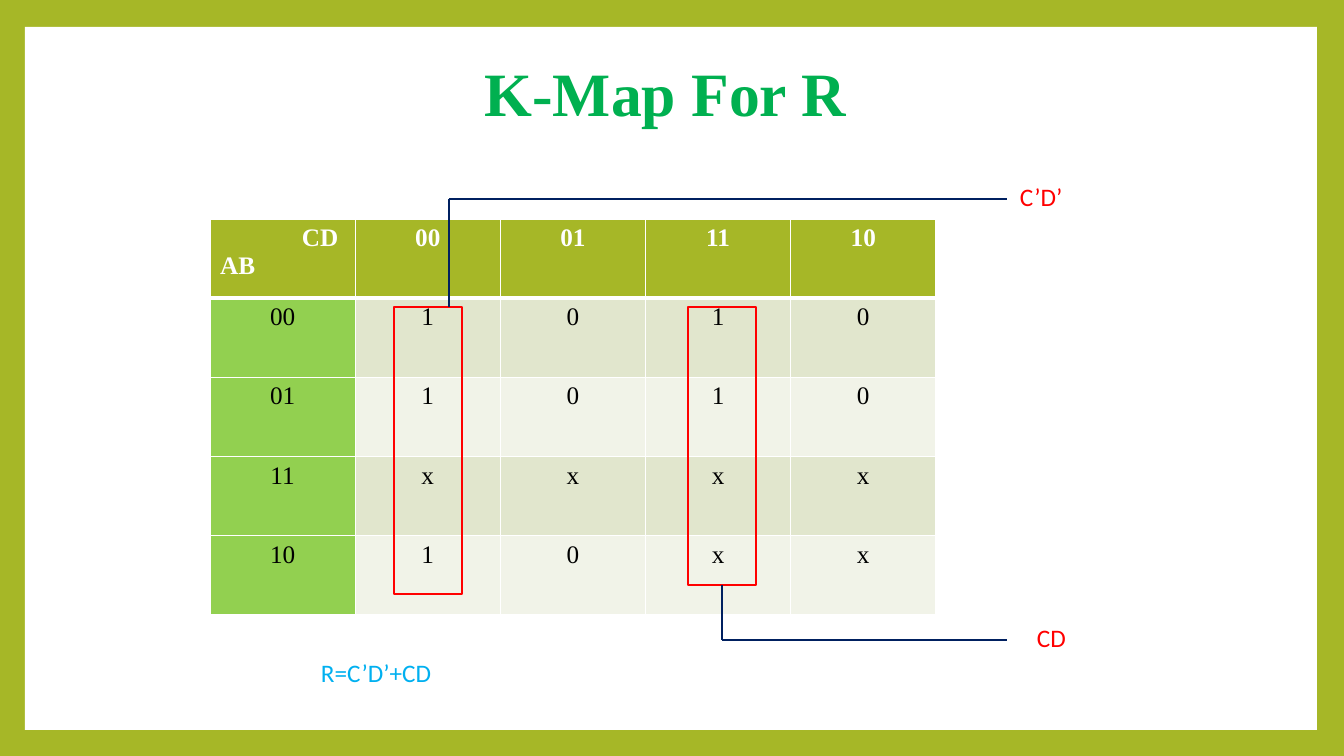
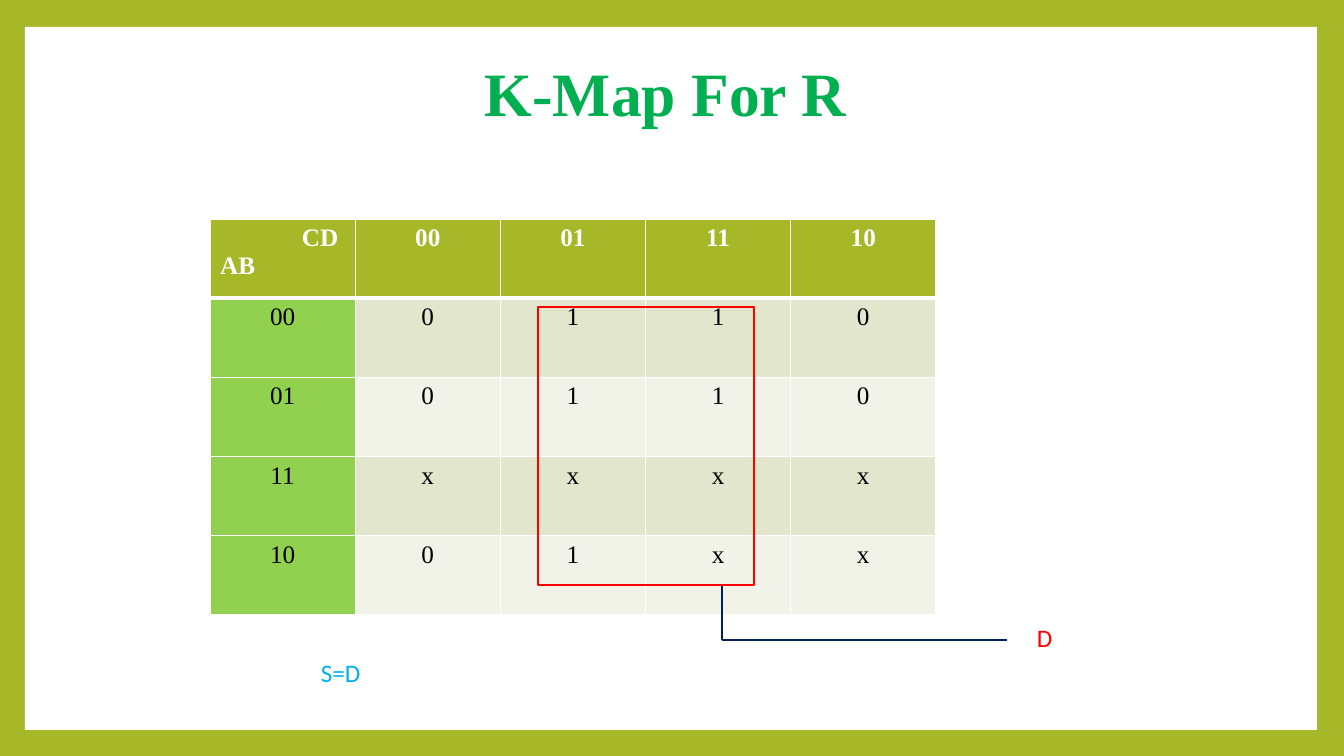
"""Build two Karnaugh map slides."""
import pptx
import pptx.dml.color
import pptx.enum.shapes
import pptx.enum.text
import pptx.oxml
import pptx.oxml.ns
import pptx.util

ALIGN = pptx.enum.text.PP_ALIGN
MIDDLE = pptx.enum.text.MSO_ANCHOR.MIDDLE
RECTANGLE = pptx.enum.shapes.MSO_SHAPE.RECTANGLE
STRAIGHT = pptx.enum.shapes.MSO_CONNECTOR.STRAIGHT

OLIVE, WHITE, BLACK = "A6B727", "FFFFFF", "000000"
TITLE_GREEN, ROW_GREEN = "00B050", "92D050"
BANDS = ("E1E6CD", "F1F3E8")
RED, NAVY, SKY = "FF0000", "002060", "00B0F0"
SERIF, SANS = "Times New Roman", "Calibri"
GRAY_CODE = ("00", "01", "11", "10")
GROUP_TOP, GROUP_HEIGHT = 307, 278
BOTTOM_LEADER = ((722, GROUP_TOP + GROUP_HEIGHT), (722, 640), (1007, 640))


def px(value):
    """Turn pixels into EMU."""
    return pptx.util.Emu(round(value * 914400 / 100.8))


def color(hex_text):
    """Return the colour for a hex string."""
    return pptx.dml.color.RGBColor.from_string(hex_text)


def write(para, text, size, font_name, hex_text, bold=False, align=ALIGN.LEFT):
    """Add one formatted run to a paragraph."""
    para.alignment = align
    span = para.add_run()
    span.text = text
    span.font.size = pptx.util.Pt(size)
    span.font.name = font_name
    span.font.bold = bold
    span.font.color.rgb = color(hex_text)


def add_box(slide, bounds, line=None, fill=None):
    """Add a flat rectangle with an optional outline and fill."""
    box = slide.shapes.add_shape(RECTANGLE, *map(px, bounds))
    box.shadow.inherit = False
    if fill:
        box.fill.solid()
        box.fill.fore_color.rgb = color(fill)
    else:
        box.fill.background()
    if line:
        box.line.color.rgb = color(line)
        box.line.width = pptx.util.Pt(1.5)
    else:
        box.line.fill.background()
    return box


def add_label(slide, bounds, text, hex_text):
    """Add a left-aligned label in a white outline."""
    frame = add_box(slide, bounds, line=WHITE).text_frame
    frame.word_wrap = True
    frame.vertical_anchor = MIDDLE
    write(frame.paragraphs[0], text, 18, SANS, hex_text)


def add_group(slide, left, width, height=GROUP_HEIGHT):
    """Outline a group of cells in red."""
    return add_box(slide, (left, GROUP_TOP, width, height), line=RED)


def add_leader(slide, points):
    """Draw thin lines through the points and return them."""
    lines = []
    for start, end in zip(points, points[1:]):
        line = slide.shapes.add_connector(STRAIGHT, *map(px, start + end))
        line.line.color.rgb = color(NAVY)
        line.line.width = pptx.util.Pt(0.79)
        properties = line.element.find(pptx.oxml.ns.qn("p:spPr"))
        properties.append(pptx.oxml.parse_xml(
            f'<a:effectLst {pptx.oxml.ns.nsdecls("a")}/>'))
        lines.append(line)
    return lines


def style_cell(cell, fill, top=1, bottom=1):
    """Give a cell white borders and a solid fill."""
    properties = cell._tc.get_or_add_tcPr()
    for side, points in (("L", 1), ("R", 1), ("T", top), ("B", bottom)):
        properties.append(pptx.oxml.parse_xml(
            f'<a:ln{side} {pptx.oxml.ns.nsdecls("a")} w="{points * 12700}">'
            f'<a:solidFill><a:srgbClr val="{WHITE}"/></a:solidFill></a:ln{side}>'))
    cell.fill.solid()
    cell.fill.fore_color.rgb = color(fill)


def add_map(slide, value_rows):
    """Add the map table with Gray code headings."""
    table = slide.shapes.add_table(5, 5, *map(px, (210, 219, 726, 396))).table
    table.first_row = table.horz_banding = False

    corner = table.cell(0, 0)
    style_cell(corner, OLIVE, bottom=3)
    corner.margin_right = px(17)
    frame = corner.text_frame
    write(frame.paragraphs[0], "CD", 18, SERIF, WHITE, True, ALIGN.RIGHT)
    write(frame.add_paragraph(), "AB", 18, SERIF, WHITE, True)

    for column, code in enumerate(GRAY_CODE, 1):
        cell = table.cell(0, column)
        style_cell(cell, OLIVE, bottom=3)
        write(cell.text_frame.paragraphs[0], code, 18, SERIF, WHITE, True, ALIGN.CENTER)

    for row, (code, values) in enumerate(zip(GRAY_CODE, value_rows), 1):
        for column, text in enumerate((code, *values)):
            cell = table.cell(row, column)
            fill = BANDS[(row - 1) % 2] if column else ROW_GREEN
            style_cell(cell, fill, top=3 if row == 1 else 1)
            write(cell.text_frame.paragraphs[0], text, 18, SERIF, BLACK, align=ALIGN.CENTER)


def style_layout(layout):
    """Set the shared background, panel and title place."""
    layout.background.fill.solid()
    layout.background.fill.fore_color.rgb = color(OLIVE)
    title = layout.placeholders[0]
    title.left, title.top, title.width, title.height = map(px, (121, 33, 1089, 128))
    title.text_frame.vertical_anchor = MIDDLE


def add_map_slide(deck, layout, value_rows, equation, bottom_term):
    """Add a slide with title, map, equation and lower term."""
    slide = deck.slides.add_slide(layout)
    para = slide.shapes.title.text_frame.paragraphs[0]
    para.line_spacing = 0.9
    write(para, "K-Map For R", 44, SERIF, TITLE_GREEN, True, ALIGN.CENTER)
    add_map(slide, value_rows)
    add_label(slide, (311, 640, 250, 65), equation, SKY)
    add_label(slide, (1027, 613, 92, 49), bottom_term, RED)
    return slide


def main():
    """Build and save the deck."""
    deck = pptx.Presentation()
    deck.slide_width, deck.slide_height = px(1344), px(756)
    layout = deck.slide_layouts[5]
    style_layout(layout)

    slide = add_map_slide(deck, layout, ("1010", "1010", "xxxx", "10xx"), "R=C’D’+CD", "CD")
    panel = add_box(slide, (25, 27, 1292, 703), fill=WHITE)
    layout.shapes.element.insert(2, panel.element)
    add_group(slide, 394, 68, 287)
    group = add_group(slide, 688, 68)
    add_leader(slide, ((449, GROUP_TOP), (449, 199), (1007, 199)))
    add_label(slide, (1010, 171, 89, 51), "C’D’", RED)
    add_leader(slide, BOTTOM_LEADER)[0].begin_connect(group, 2)

    slide = add_map_slide(deck, layout, ("0110", "0110", "xxxx", "01xx"), "S=D", "D")
    add_leader(slide, BOTTOM_LEADER)
    add_group(slide, 538, 216)

    deck.save("out.pptx")


if __name__ == "__main__":
    main()
